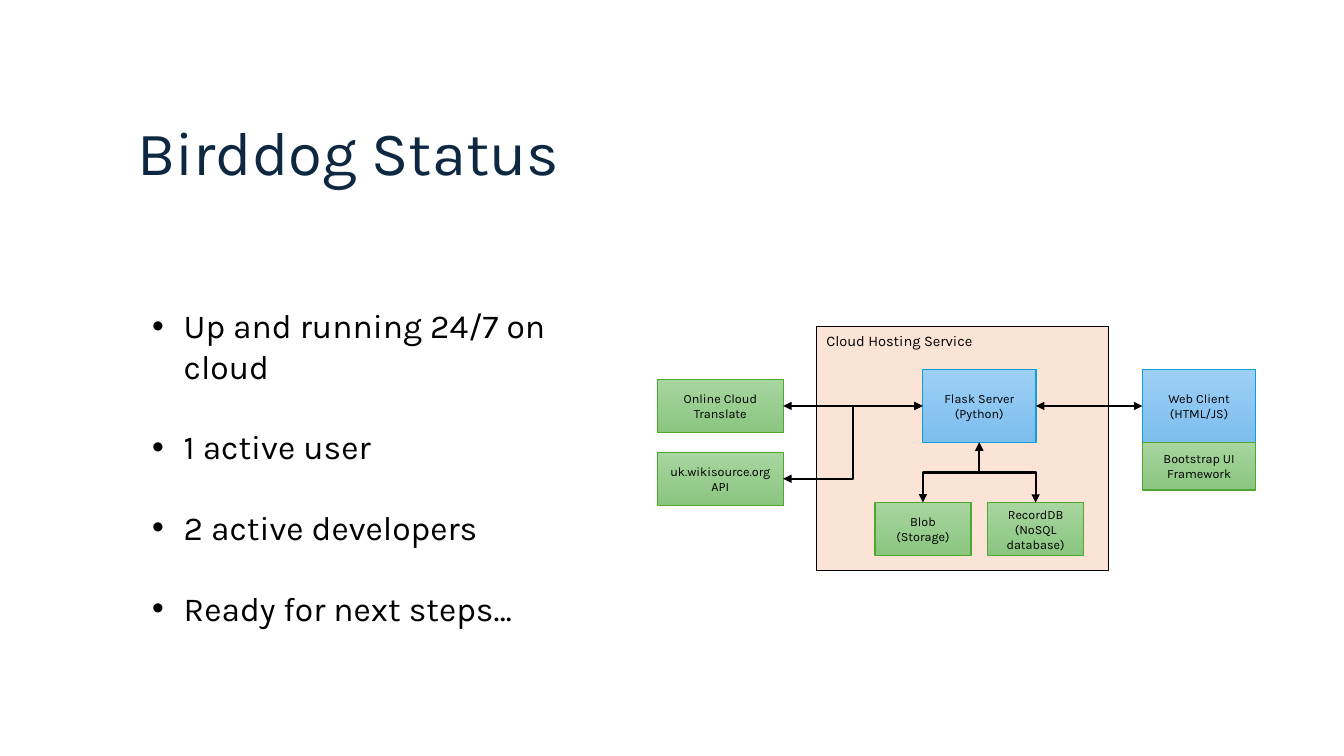
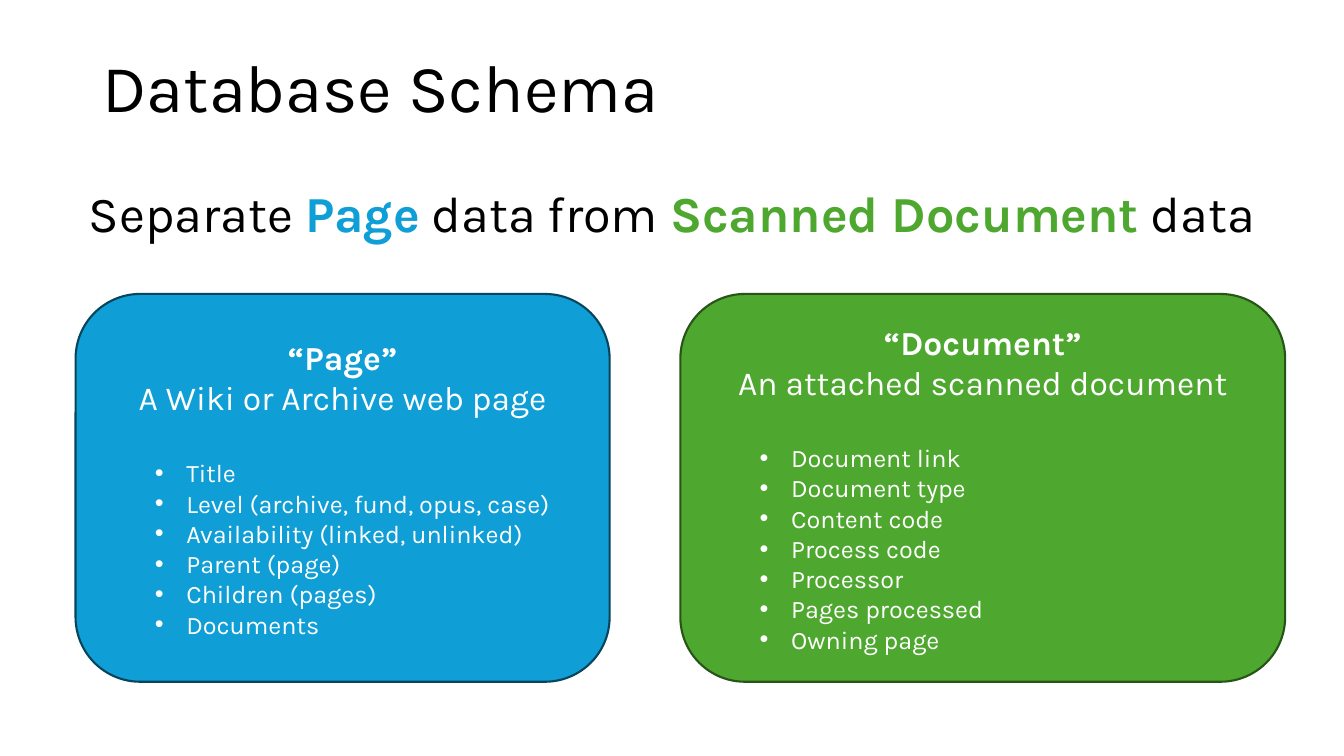
import dataclasses

import lxml.etree
import pptx
import pptx.dml.color
import pptx.enum.shapes
import pptx.enum.text
import pptx.oxml.ns
import pptx.util

Pt = pptx.util.Pt
RGB = pptx.dml.color.RGBColor.from_string
qn = pptx.oxml.ns.qn
ALIGN = pptx.enum.text.PP_ALIGN
ANCHOR = pptx.enum.text.MSO_ANCHOR
SHAPE = pptx.enum.shapes.MSO_SHAPE
CONNECTOR = pptx.enum.shapes.MSO_CONNECTOR


@dataclasses.dataclass(frozen=True)
class Theme:
    font: str = "Karla"
    black: str = "000000"
    white: str = "FFFFFF"
    navy: str = "0E2841"
    peach: str = "FBE3D6"
    blue: str = "0F9ED5"
    blue_edge: str = "07455D"
    blue_tints: tuple = ("9ECFF5", "7CBEED")
    green: str = "4EA72E"
    green_edge: str = "275417"
    green_tints: tuple = ("A8D5A0", "8AC680")
    statement: float = 36
    body: float = 24
    fields: float = 18
    container: float = 10.5
    node: float = 9


theme = Theme()
HANGING = 22.5


def write(frame, runs, size, align=ALIGN.LEFT, bullet_margin=None, gap=0):
    """Add a paragraph made of (text, colour, bold) runs; the first fills the empty one."""
    started = bool(frame.text)
    paragraph = frame.add_paragraph() if started else frame.paragraphs[0]
    if bullet_margin is not None:
        properties = paragraph._p.get_or_add_pPr()
        properties.set("marL", str(Pt(bullet_margin)))
        properties.set("indent", str(-Pt(HANGING)))
        lxml.etree.SubElement(properties, qn("a:buFont"), typeface="Arial")
        lxml.etree.SubElement(properties, qn("a:buChar"), char="•")
    paragraph.alignment = align
    paragraph.space_before = Pt(gap if started else 0)
    for text, color, bold in runs:
        run = paragraph.add_run()
        run.text = text
        run.font.name = theme.font
        run.font.size = Pt(size)
        run.font.bold = bold
        run.font.color.rgb = RGB(color)
    return paragraph


def add_box(slide, preset, bounds, fills, edge, edge_width):
    """Add an outlined shape; two fills make a gradient from top to bottom."""
    box = slide.shapes.add_shape(preset, *map(Pt, bounds))
    box.shadow.inherit = False
    if len(fills) == 1:
        box.fill.solid()
        box.fill.fore_color.rgb = RGB(fills[0])
    else:
        box.fill.gradient()
        box.fill.gradient_angle = 270
        for stop, color in zip(box.fill.gradient_stops, fills):
            stop.color.rgb = RGB(color)
    box.line.color.rgb = RGB(edge)
    box.line.width = Pt(edge_width)
    box.text_frame.word_wrap = True
    box.text_frame.vertical_anchor = ANCHOR.MIDDLE
    return box


deck = pptx.Presentation()
deck.slide_width, deck.slide_height = Pt(960), Pt(540)

# Titles
slides = []
for layout, title, bounds, anchor, size, color in (
    (1, "Birddog Status", (90.7, 67.7, 690, 70.6), ANCHOR.BOTTOM, 44, theme.navy),
    (5, "Database Schema", (66, 28.8, 828, 72.7), ANCHOR.MIDDLE, 48, theme.black),
):
    slide = deck.slides.add_slide(deck.slide_layouts[layout])
    heading = slide.shapes.title
    heading.left, heading.top, heading.width, heading.height = map(Pt, bounds)
    heading.text_frame.auto_size = pptx.enum.text.MSO_AUTO_SIZE.NONE
    heading.text_frame.vertical_anchor = anchor
    write(heading.text_frame, [(title, color, False)], size).line_spacing = 0.9
    slides.append(slide)
status, schema = slides

# Status list
progress = status.placeholders[1]
progress.left, progress.top, progress.width, progress.height = map(
    Pt, (101.5, 214.5, 334, 211))
progress.text_frame.auto_size = pptx.enum.text.MSO_AUTO_SIZE.NONE
for item in ("Up and running 24/7 on cloud", "1 active user",
             "2 active developers", "Ready for next steps…"):
    write(progress.text_frame, [(item, theme.black, False)], theme.body,
          bullet_margin=HANGING, gap=28.8)

# Architecture diagram
hosting = add_box(status, SHAPE.RECTANGLE, (583.2, 233.3, 208.8, 174.2),
                  [theme.peach], theme.black, 1)
hosting.text_frame.vertical_anchor = ANCHOR.TOP
write(hosting.text_frame, [("Cloud Hosting Service", theme.black, False)],
      theme.container)

blue_style = (theme.blue_tints, theme.blue, 1)
green_style = (theme.green_tints, theme.green, 1)
nodes = {}
for name, bounds, style, lines in (
    ("server", (659, 264, 81, 52), blue_style, ["Flask Server (Python)"]),
    ("storage", (625, 359, 68.5, 38), green_style, ["Blob (Storage)"]),
    ("client", (816, 264, 81, 52), blue_style, ["Web Client", "(HTML/JS)"]),
    ("database", (705.5, 359, 68.5, 38), green_style, ["RecordDB (NoSQL database)"]),
    ("framework", (816, 316, 81, 34), green_style, ["Bootstrap UI Framework"]),
    ("translate", (469.5, 271, 90, 38), green_style, ["Online Cloud Translate"]),
    ("wiki", (469.5, 323, 90, 38), green_style, ["uk.wikisource.org", "API"]),
):
    nodes[name] = add_box(status, SHAPE.RECTANGLE, bounds, *style)
    for line in lines:
        write(nodes[name].text_frame, [(line, theme.black, False)], theme.node,
              ALIGN.CENTER)

TOP, LEFT, BOTTOM, RIGHT = range(4)
for kind, start, start_side, end, end_side in (
    (CONNECTOR.STRAIGHT, "server", LEFT, "translate", RIGHT),
    (CONNECTOR.ELBOW, "server", LEFT, "wiki", RIGHT),
    (CONNECTOR.STRAIGHT, "client", LEFT, "server", RIGHT),
    (CONNECTOR.ELBOW, "server", BOTTOM, "storage", TOP),
    (CONNECTOR.ELBOW, "server", BOTTOM, "database", TOP),
):
    link = status.shapes.add_connector(kind, 0, 0, 0, 0)
    link.begin_connect(nodes[start], start_side)
    link.end_connect(nodes[end], end_side)
    if start_side == BOTTOM:
        # A quarter turn makes the elbow leave and arrive vertically
        across, down = link.end_x - link.begin_x, link.end_y - link.begin_y
        center_x = (link.begin_x + link.end_x) // 2
        center_y = (link.begin_y + link.end_y) // 2
        link.begin_x, link.end_x = center_x - down // 2, center_x + down // 2
        link.begin_y, link.end_y = center_y + across // 2, center_y - across // 2
        link._element.spPr.find(qn("a:xfrm")).set("rot", str(90 * 60000))
    link.line.color.rgb = RGB(theme.black)
    link.line.width = Pt(1.5)
    outline = link.line._get_or_add_ln()
    for tip in ("a:headEnd", "a:tailEnd"):
        lxml.etree.SubElement(outline, qn(tip), type="triangle")
    lxml.etree.SubElement(link._element.spPr, qn("a:effectLst"))

# Schema cards
for bounds, fill, edge, name, meaning, fields in (
    ((54, 210, 381.5, 277), theme.blue, theme.blue_edge,
     "“Page”", "A Wiki or Archive web page",
     ("Title", "Level (archive, fund, opus, case)", "Availability (linked, unlinked)",
      "Parent (page)", "Children (pages)", "Documents")),
    ((486, 210, 432, 277), theme.green, theme.green_edge,
     "“Document”", "An attached scanned document",
     ("Document link", "Document type", "Content code", "Process code",
      "Processor", "Pages processed", "Owning page")),
):
    card = add_box(schema, SHAPE.ROUNDED_RECTANGLE, bounds, [fill], edge, 1.5)
    write(card.text_frame, [(name, theme.white, True)], theme.body, ALIGN.CENTER)
    write(card.text_frame, [(meaning, theme.white, False)], theme.body, ALIGN.CENTER)
    for index, field in enumerate(fields):
        write(card.text_frame, [(field, theme.white, False)], theme.fields,
              bullet_margin=58.5, gap=0 if index else 28.8)

# Schema statement
statement = schema.shapes.add_textbox(*map(Pt, (0, 126.7, 960, 51)))
statement.text_frame.word_wrap = True
write(statement.text_frame, [
    ("Separate ", theme.black, False),
    ("Page", theme.blue, True),
    (" data from ", theme.black, False),
    ("Scanned Document", theme.green, True),
    (" data", theme.black, False),
], theme.statement, ALIGN.CENTER)

deck.save("out.pptx")
